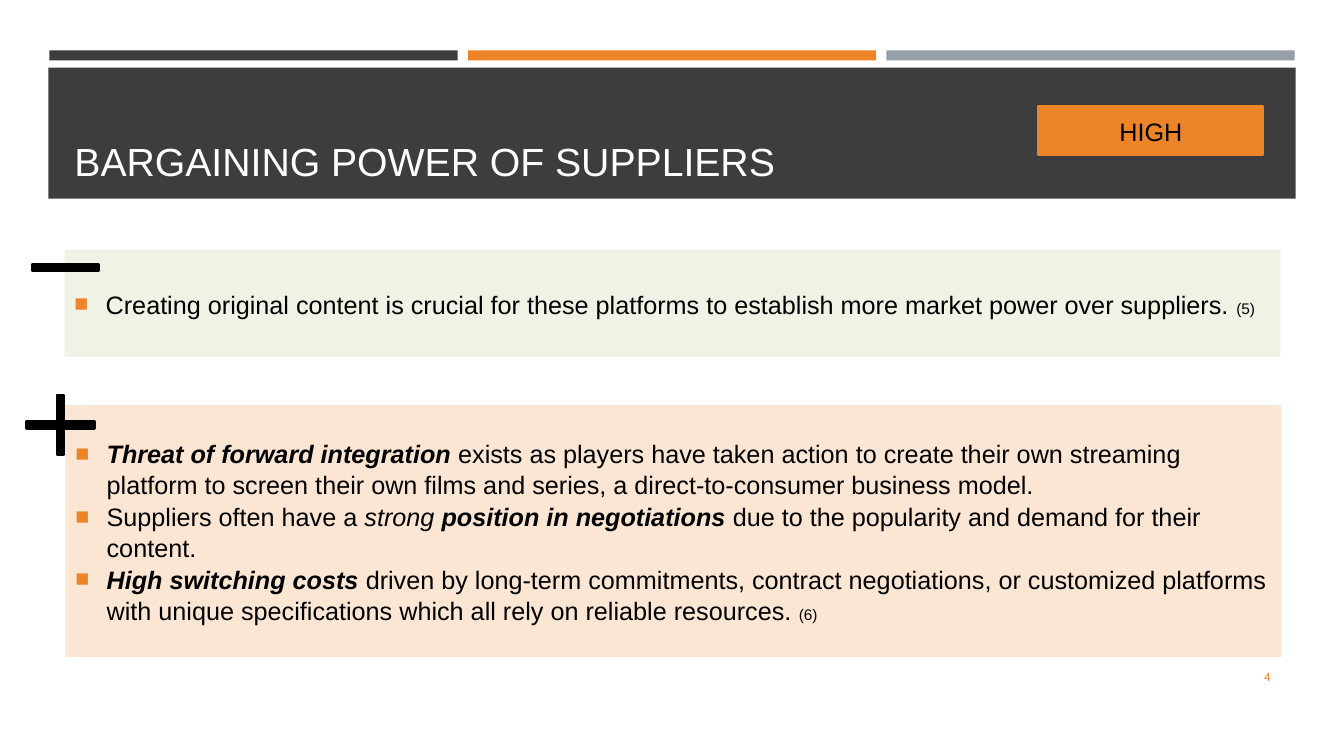
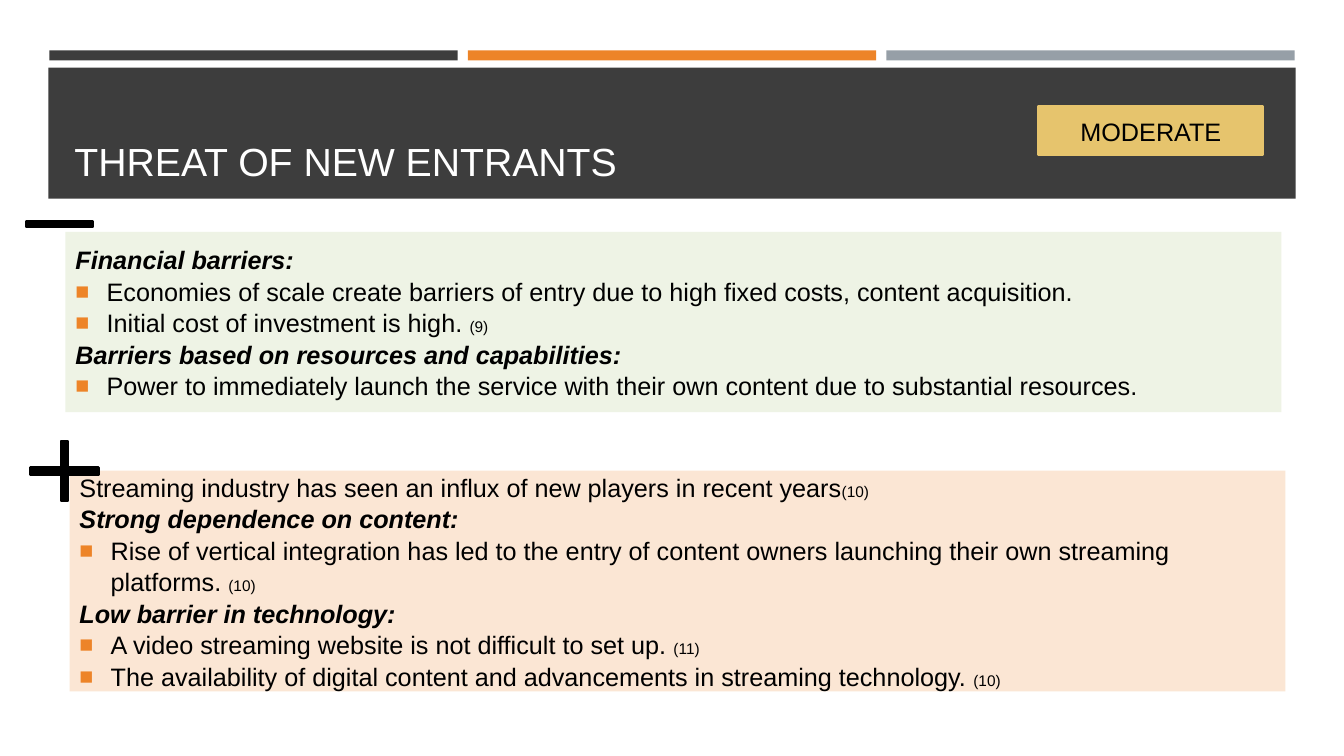
from lxml import etree
from pptx import Presentation
from pptx import util as u
from pptx.dml.color import RGBColor
from pptx.enum import shapes, text
from pptx.oxml.ns import qn

PX = 9144  # EMU in one px, 100 px to the inch

BLACK, WHITE = "000000", "FFFFFF"
DARK, ORANGE, GREY, YELLOW = "3D3D3D", "ED8428", "969FA7", "E6C46D"
GREEN_TINT, ORANGE_TINT = "EEF3E5", "FBE6D4"

SHAPE = shapes.MSO_SHAPE
ANCHOR = text.MSO_ANCHOR
ALIGN = text.PP_ALIGN

# Run styles: bold, italic, size (None keeps the paragraph's own)
STYLES = {
    "plain": (None, None, None),
    "italic": (None, True, None),
    "strong": (True, True, None),
    "reference": (None, None, 11),
}


def color(hex_string):
    return RGBColor.from_string(hex_string)


def lengths(box):
    return [value * PX for value in box]


def add_block(page, box, fill, kind=SHAPE.RECTANGLE, outlined=False):
    block = page.shapes.add_shape(kind, *lengths(box))
    block.shadow.inherit = False
    block.fill.solid()
    block.fill.fore_color.rgb = color(fill)
    if outlined:
        block.line.color.rgb = color(fill)
        block.line.width = u.Pt(1.75)
    else:
        block.line.fill.background()
    return block


def style_para(para, size, hex_string, name="Arial", align=ALIGN.LEFT):
    para.alignment = align
    para.font.size = u.Pt(size)
    para.font.name = name
    para.font.color.rgb = color(hex_string)


def add_label(page, box, words, size, hex_string, anchor, **style):
    label = page.shapes.add_textbox(*lengths(box))
    label.text_frame.word_wrap = True
    label.text_frame.vertical_anchor = anchor
    para = label.text_frame.paragraphs[0]
    para.text = words
    style_para(para, size, hex_string, **style)


def add_bullet(para):
    properties = para._p.get_or_add_pPr()
    properties.set("marL", str(31 * PX))
    properties.set("indent", str(-31 * PX))
    bullet_color = etree.SubElement(properties, qn("a:buClr"))
    etree.SubElement(bullet_color, qn("a:srgbClr"), val=ORANGE)
    etree.SubElement(properties, qn("a:buSzPct"), val="92000")
    etree.SubElement(properties, qn("a:buFont"), typeface="Arial")
    etree.SubElement(properties, qn("a:buChar"), char="■")


def add_header(page, title, rating, rating_fill):
    # Three strips above the title band
    for index, fill in enumerate((DARK, ORANGE, GREY)):
        add_block(page, (49 + index * 415, 50, 405, 10), fill)
    add_block(page, (48, 67, 1237, 130), DARK)
    add_label(page, (64, 77, 1206, 111), title, 28, WHITE, ANCHOR.BOTTOM)
    # Rating badge
    add_block(page, (989, 29, 304, 201), rating_fill, SHAPE.MATH_MINUS, True)
    add_label(page, (1029, 110, 225, 40), rating, 18, BLACK, ANCHOR.TOP,
              align=ALIGN.CENTER)


def add_panel(page, box, fill, items):
    frame = add_block(page, box, fill).text_frame
    frame.word_wrap = True
    frame.vertical_anchor = ANCHOR.MIDDLE
    for index, (bulleted, spans) in enumerate(items):
        para = frame.paragraphs[0] if index == 0 else frame.add_paragraph()
        if bulleted:
            add_bullet(para)
        para.line_spacing = 1.04
        style_para(para, 18, BLACK)
        for words, style in spans:
            span = para.add_run()
            span.text = words
            bold, italic, size = STYLES[style]
            span.font.bold = bold
            span.font.italic = italic
            if size:
                span.font.size = u.Pt(size)


def add_minus(page, left, top):
    add_block(page, (left, top, 90, 25), BLACK, SHAPE.MATH_MINUS, True)


def add_plus(page, left, top):
    plus = add_block(page, (left, top, 92, 81), BLACK, SHAPE.MATH_PLUS, True)
    plus.adjustments[0] = 0.09


def bullet(words, reference=None):
    spans = [(words, "plain")]
    if reference:
        spans.append((reference, "reference"))
    return True, spans


def heading(words):
    return False, [(words, "strong")]


def build_suppliers(page):
    add_header(page, "BARGAINING POWER OF SUPPLIERS", "HIGH", ORANGE)
    add_panel(page, (64, 248, 1206, 106), GREEN_TINT, [
        bullet("Creating original content is crucial for these platforms to "
               "establish more market power over suppliers. ", "(5)"),
    ])
    add_panel(page, (65, 402, 1206, 250), ORANGE_TINT, [
        (True, [("Threat of forward integration ", "strong"),
                ("exists as players have taken action to create their own "
                 "streaming platform to screen their own films and series, "
                 "a direct-to-consumer business model.", "plain")]),
        (True, [("Suppliers often have a ", "plain"),
                ("strong ", "italic"),
                ("position in negotiations ", "strong"),
                ("due to the popularity and demand for their content.",
                 "plain")]),
        (True, [("High switching costs ", "strong"),
                ("driven by long-term commitments, contract negotiations, or "
                 "customized platforms with unique specifications which all "
                 "rely on reliable resources. ", "plain"),
                ("(6)", "reference")]),
    ])
    add_minus(page, 20, 253)
    add_plus(page, 14, 381)
    # Page number
    add_label(page, (1155, 651, 115, 40), "4", 9, ORANGE, ANCHOR.MIDDLE,
              name="Calibri", align=ALIGN.RIGHT)


def build_entrants(page):
    add_header(page, "THREAT OF NEW ENTRANTS", "MODERATE", YELLOW)
    add_panel(page, (65, 230, 1206, 179), GREEN_TINT, [
        heading("Financial barriers:"),
        bullet("Economies of scale create barriers of entry due to high fixed "
               "costs, content acquisition."),
        bullet("Initial cost of investment is high. ", "(9)"),
        heading("Barriers based on resources and capabilities:"),
        bullet("Power to immediately launch the service with their own "
               "content due to substantial resources."),
    ])
    add_panel(page, (69, 467, 1206, 219), ORANGE_TINT, [
        (False, [("Streaming industry has seen an influx of new players in "
                  "recent years", "plain"), ("(10)", "reference")]),
        heading("Strong dependence on content:"),
        bullet("Rise of vertical integration has led to the entry of content "
               "owners launching their own streaming platforms. ", "(10)"),
        heading("Low barrier in technology:"),
        bullet("A video streaming website is not difficult to set up. ",
               "(11)"),
        bullet("The availability of digital content and advancements in "
               "streaming technology. ", "(10)"),
    ])
    add_minus(page, 14, 210)
    add_plus(page, 18, 427)


def main():
    deck = Presentation()
    deck.slide_width, deck.slide_height = lengths((1333, 750))
    for build in (build_suppliers, build_entrants):
        build(deck.slides.add_slide(deck.slide_layouts[6]))
    deck.save("out.pptx")


if __name__ == "__main__":
    main()
